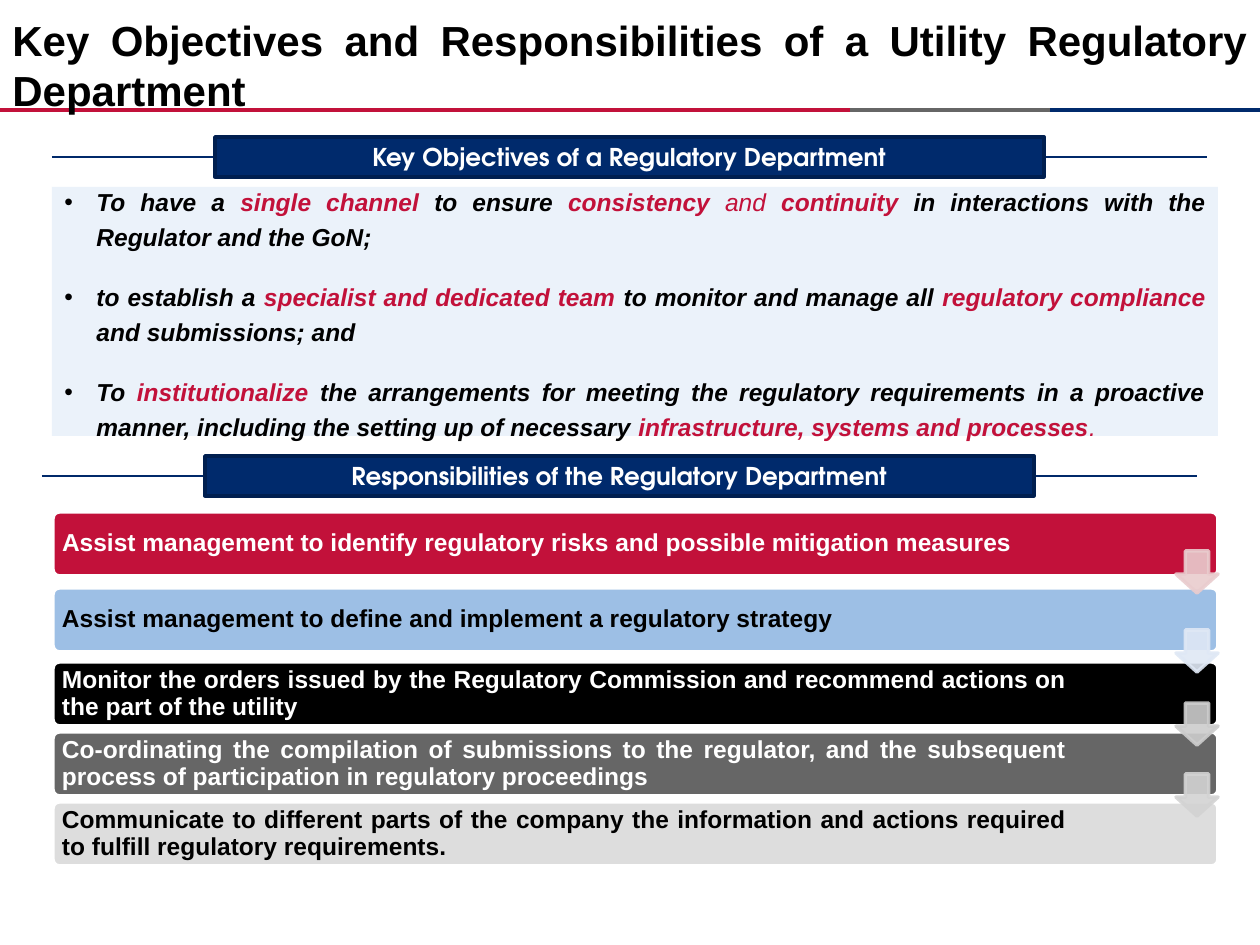
from lxml.etree import SubElement
from pptx import Presentation
from pptx.dml.color import RGBColor
from pptx.enum.shapes import MSO_CONNECTOR, MSO_SHAPE
from pptx.enum.text import MSO_ANCHOR as ANCHOR, PP_ALIGN as ALIGN
from pptx.oxml.ns import qn
from pptx.util import Pt

PX = 914400 / 126

RED = RGBColor(0xC2, 0x11, 0x3A)
NAVY = RGBColor(0x00, 0x2A, 0x6C)
RULE_NAVY = RGBColor(0x00, 0x29, 0x6A)
EDGE_NAVY = RGBColor(0x00, 0x1F, 0x50)
GREY = RGBColor(0x66, 0x66, 0x66)
LIGHT_GREY = RGBColor(0xDD, 0xDD, 0xDD)
SKY = RGBColor(0x9D, 0xBF, 0xE5)
PALE_BLUE = RGBColor(0xEB, 0xF2, 0xFA)
BLACK = RGBColor(0x00, 0x00, 0x00)
WHITE = RGBColor(0xFF, 0xFF, 0xFF)
ARROW_PINK = RGBColor(0xE9, 0xCC, 0xCE)
ARROW_BLUE = RGBColor(0xDF, 0xE8, 0xF5)
ARROW_GREY = RGBColor(0xCC, 0xCC, 0xCC)
ARROW_SILVER = RGBColor(0xD3, 0xD3, 0xD3)

presentation = Presentation()
presentation.slide_width = round(1260 * PX)
presentation.slide_height = round(945 * PX)
slide = presentation.slides.add_slide(presentation.slide_layouts[6])


def add_box(kind, bounds, fill=None, line=None, adjustments=()):
    """Add a preset shape, or a text box when kind is None; bounds are in px."""
    position = [round(value * PX) for value in bounds]
    if kind is None:
        shape = slide.shapes.add_textbox(*position)
    else:
        shape = slide.shapes.add_shape(kind, *position)
        shape.shadow.inherit = False
        shape.fill.solid()
        shape.fill.fore_color.rgb = fill
        if line is None:
            shape.line.fill.background()
        else:
            shape.line.color.rgb = line
            shape.line.width = Pt(2)
        for index, value in enumerate(adjustments):
            shape.adjustments[index] = value
    shape.text_frame.word_wrap = True
    return shape


def add_runs(paragraph, runs, size, name="Arial", italic=False):
    """Add (text, colour, bold) runs to a paragraph."""
    for text, color, bold in runs:
        run = paragraph.add_run()
        run.text = text
        values = {"size": Pt(size), "name": name, "bold": bold, "italic": italic}
        for key, value in values.items():
            setattr(run.font, key, value)
        run.font.color.rgb = color


# Rules: left, right, y, colour, weight
rules = [
    (0, 850, 110, RED, 2.25),
    (1050, 1260, 110, NAVY, 2.25),
    (850, 1050, 110, GREY, 2.25),
    (52, 1207, 157, RULE_NAVY, 0.75),
    (42, 1197, 476, RULE_NAVY, 0.75),
]
for left, right, y, color, weight in rules:
    rule = slide.shapes.add_connector(
        MSO_CONNECTOR.STRAIGHT, *[round(value * PX) for value in (left, y, right, y)])
    rule.line.color.rgb = color
    rule.line.width = Pt(weight)
    SubElement(rule._element.spPr, qn("a:effectLst"))

# Title
title = add_box(None, (0, 8, 1260, 84))
title_paragraph = title.text_frame.paragraphs[0]
title_paragraph.alignment = ALIGN.JUSTIFY
add_runs(title_paragraph, [
    ("Key Objectives and Responsibilities of a Utility Regulatory Department", BLACK, True),
], 24)

# Objectives
objectives = [
    [("To have a ", BLACK, True), ("single channel ", RED, True),
     ("to ensure ", BLACK, True), ("consistency", RED, True),
     (" and ", RED, False), ("continuity ", RED, True),
     ("in interactions with the Regulator and the GoN;", BLACK, True)],
    [("to establish a ", BLACK, True), ("specialist and dedicated team ", RED, True),
     ("to monitor and manage all ", BLACK, True), ("regulatory compliance ", RED, True),
     ("and submissions; and", BLACK, True)],
    [("To ", BLACK, True), ("institutionalize ", RED, True),
     ("the arrangements for meeting the regulatory requirements in a proactive manner, "
      "including the setting up of necessary ", BLACK, True),
     ("infrastructure, systems and processes", RED, True), (".", RED, False)],
]
panel = add_box(MSO_SHAPE.RECTANGLE, (52, 187, 1166, 249), PALE_BLUE)
panel.text_frame.vertical_anchor = ANCHOR.MIDDLE
for index, runs in enumerate(objectives):
    paragraph = panel.text_frame.add_paragraph() if index else panel.text_frame.paragraphs[0]
    properties = paragraph._p.get_or_add_pPr()
    properties.set("marL", str(round(32 * PX)))
    properties.set("indent", str(round(-32 * PX)))
    SubElement(properties, qn("a:buFont"), typeface="Arial")
    SubElement(properties, qn("a:buChar"), char="•")
    values = {"alignment": ALIGN.JUSTIFY, "line_spacing": 1.2,
              "space_before": Pt(8 if index else 0), "space_after": Pt(6)}
    for key, value in values.items():
        setattr(paragraph, key, value)
    add_runs(paragraph, runs, 14, italic=True)

# Section headings
headings = [
    (215, 137, "Key Objectives of a Regulatory Department"),
    (205, 456, "Responsibilities of the Regulatory Department"),
]
for left, top, text in headings:
    heading = add_box(MSO_SHAPE.RECTANGLE, (left, top, 829, 40), NAVY, EDGE_NAVY)
    heading.text_frame.vertical_anchor = ANCHOR.MIDDLE
    paragraph = heading.text_frame.paragraphs[0]
    paragraph.alignment = ALIGN.CENTER
    add_runs(paragraph, [(text, WHITE, True)], 14, "TeX Gyre Adventor")

# Responsibilities: top, text width, fill, text colour, text
responsibilities = [
    (512, 1067, RED, WHITE,
     "Assist management to identify regulatory risks and possible mitigation measures"),
    (588, 1021, SKY, BLACK,
     "Assist management to define and implement a regulatory strategy"),
    (662, 1021, BLACK, WHITE,
     "Monitor the orders issued by the Regulatory Commission and recommend actions "
     "on the part of the utility"),
    (732, 1021, GREY, WHITE,
     "Co-ordinating the compilation of submissions to the regulator, and the "
     "subsequent process of participation in regulatory proceedings"),
    (802, 1021, LIGHT_GREY, BLACK,
     "Communicate to different parts of the company the information and actions "
     "required to fulfill regulatory requirements."),
]
for top, width, fill, color, text in responsibilities:
    add_box(MSO_SHAPE.ROUNDED_RECTANGLE, (53, top, 1165, 64), fill, WHITE, [0.1])
    label = add_box(None, (54, top + 2, width, 60))
    values = {"vertical_anchor": ANCHOR.MIDDLE}
    for side in ("left", "top", "right", "bottom"):
        values["margin_" + side] = round(8 * PX)
    for key, value in values.items():
        setattr(label.text_frame, key, value)
    paragraph = label.text_frame.paragraphs[0]
    paragraph.alignment = ALIGN.JUSTIFY
    paragraph.line_spacing = 0.9
    add_runs(paragraph, [(text, color, True)], 14)

# Arrows between responsibilities
arrows = [(551, ARROW_PINK), (630, ARROW_BLUE), (703, ARROW_GREY), (774, ARROW_SILVER)]
for top, color in arrows:
    arrow = add_box(MSO_SHAPE.DOWN_ARROW, (1176, top, 42, 42), color, color, [0.55, 0.45])
    for color_element in arrow._element.spPr.iter(qn("a:srgbClr")):
        SubElement(color_element, qn("a:alpha"), val="90000")

presentation.save("out.pptx")
